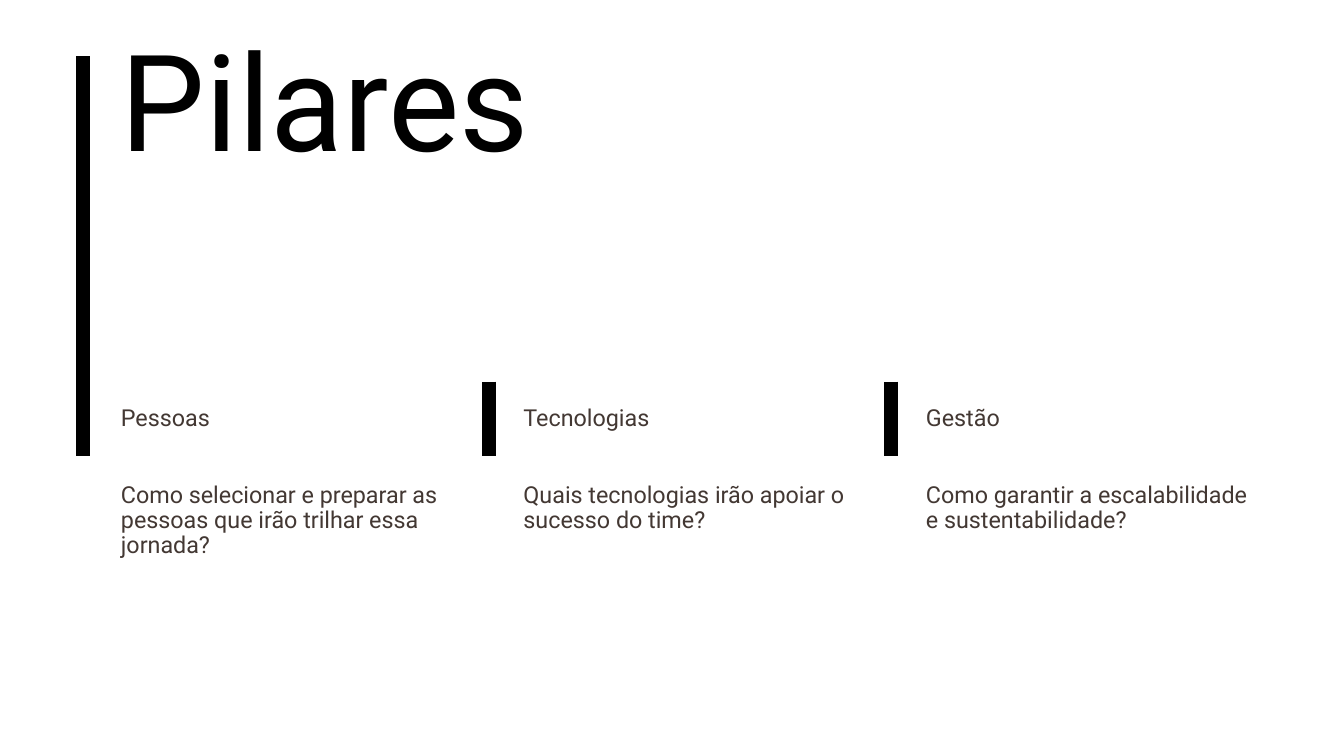
from dataclasses import dataclass

from lxml import etree
from pptx import Presentation
from pptx import util as u
from pptx.dml.color import RGBColor
from pptx.enum import shapes, text
from pptx.oxml.ns import qn

FONT = "Roboto"
BLACK = "000000"
BROWN = "433833"
LEFT = 1.8
PITCH = 5.99
COLUMN_WIDTH = 4.93
BAR_BOTTOM = 6.79


@dataclass
class Pillar:
    name: str
    question: str
    bar_x: float
    bar_top: float


PILLARS = [
    Pillar("Pessoas", "Como selecionar e preparar as pessoas que irão trilhar essa jornada?",
           1.23, 0.84),
    Pillar("Tecnologias", "Quais tecnologias irão apoiar o sucesso do time?", 7.27, 5.68),
    Pillar("Gestão", "Como garantir a escalabilidade e sustentabilidade?", 13.26, 5.68),
]


def color(value: str) -> RGBColor:
    return RGBColor.from_string(value)


def write(box, words: str, size: float, spacing: float, ink: str) -> None:
    frame = box.text_frame
    frame.word_wrap = True
    frame.auto_size = text.MSO_AUTO_SIZE.NONE
    frame.vertical_anchor = text.MSO_ANCHOR.TOP
    frame.margin_left = frame.margin_right = frame.margin_top = frame.margin_bottom = 0
    para = frame.paragraphs[0]
    para.alignment = text.PP_ALIGN.LEFT
    para.line_spacing = u.Pt(spacing)
    span = para.add_run()
    span.text = words
    span.font.name = FONT
    span.font.size = u.Pt(size)
    span.font.color.rgb = color(ink)


def add_bar(page, x: float, top: float) -> None:
    bar = page.shapes.add_connector(
        shapes.MSO_CONNECTOR.STRAIGHT,
        u.Inches(x), u.Inches(top), u.Inches(x), u.Inches(BAR_BOTTOM))
    bar.line.color.rgb = color(BLACK)
    bar.line.width = u.Pt(15)
    etree.SubElement(bar._element.spPr, qn("a:effectLst"))


def add_text(page, words: str, x: float, y: float, height: float) -> None:
    box = page.shapes.add_textbox(
        u.Inches(x), u.Inches(y), u.Inches(COLUMN_WIDTH), u.Inches(height))
    write(box, words, 25, 26.7, BROWN)


def main() -> None:
    deck = Presentation()
    deck.slide_width, deck.slide_height = u.Inches(20), u.Inches(11.25)
    page = deck.slides.add_slide(deck.slide_layouts[5])

    title = page.shapes.title
    title.left, title.top = u.Inches(LEFT), u.Inches(0.79)
    title.width, title.height = u.Inches(16.94), u.Inches(1.99)
    write(title, "Pilares", 144, 133.9, BLACK)

    for index, pillar in enumerate(PILLARS):
        x = LEFT + index * PITCH
        add_bar(page, pillar.bar_x, pillar.bar_top)
        add_text(page, pillar.name, x, 6.04, 0.38)
        add_text(page, pillar.question, x, 7.19, 1.11)

    deck.save("out.pptx")


if __name__ == "__main__":
    main()
